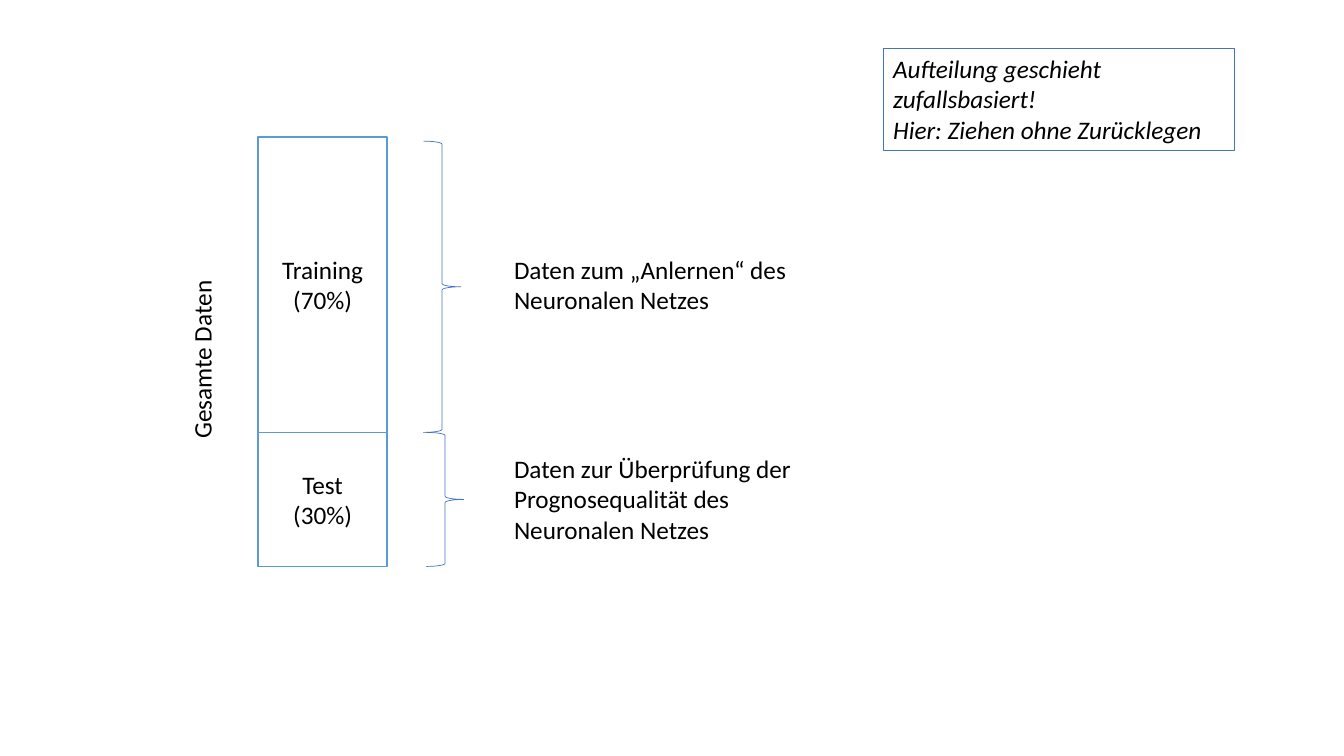
from pptx import Presentation
from pptx.util import Inches, Pt
from pptx.dml.color import RGBColor
from pptx.enum import shapes as sh, text as tx

KIND = sh.MSO_SHAPE
MID, TOP = tx.MSO_ANCHOR.MIDDLE, tx.MSO_ANCHOR.TOP
MAIN, LIGHT = "4472C4", "5B9BD5"


def tint(code):
    return RGBColor.from_string(code)


def apply(item, style):
    for name, value in style.items():
        setattr(item, name, value)


def write(shape, lines, align=tx.PP_ALIGN.LEFT, anchor=TOP, italic=False):
    frame = shape.text_frame
    apply(frame, {"word_wrap": True, "vertical_anchor": anchor})
    frame.text = "\n".join(lines)
    for para in frame.paragraphs:
        para.alignment = align
        apply(para.font, {"name": "Calibri", "size": Pt(18), "italic": italic})
        para.font.color.rgb = tint("000000")


def draw(slide, kind, box, line, width, fill=None):
    shape = slide.shapes.add_shape(kind, *map(Inches, box))
    shape.shadow.inherit = False
    if fill:
        shape.fill.solid()
        shape.fill.fore_color.rgb = tint(fill)
    else:
        shape.fill.background()
    shape.line.color.rgb = tint(line)
    shape.line.width = Pt(width)
    return shape


def label(slide, box, words, turn=0):
    shape = slide.shapes.add_textbox(*map(Inches, box))
    shape.rotation = turn
    write(shape, [words])


def share(slide, box, part, brace, note, high):
    left, top, width, height = box
    block = draw(slide, KIND.RECTANGLE, box, LIGHT, 1, "FFFFFF")
    write(block, part, tx.PP_ALIGN.CENTER, MID)
    shift, drop = brace
    draw(slide, KIND.RIGHT_BRACE,
         (left + shift, top + drop, 0.37, height - drop), MAIN, 0.5)
    mid = top + height / 2
    label(slide, (left + 2.44, mid - high / 2, 3.33, high), note)


def split(slide, box):
    left, top, width, height = box
    parts = [
        (2.93, ["Training", "(70%)"], (1.64, 0.04),
         "Daten zum „Anlernen“ des Neuronalen Netzes", 0.71),
        (1.33, ["Test", "(30%)"], (1.67, 0),
         "Daten zur Überprüfung der Prognosequalität des Neuronalen Netzes", 1.01),
    ]
    label(slide, (left - 1.48, top + 1.97, 1.84, 0.4), "Gesamte Daten", 270)
    for tall, part, brace, note, high in parts:
        share(slide, (left, top, width, tall), part, brace, note, high)
        top += tall


def remark(slide, box):
    shape = draw(slide, KIND.RECTANGLE, box, MAIN, 0.75)
    write(shape, ["Aufteilung geschieht zufallsbasiert!",
                  "Hier: Ziehen ohne Zurücklegen"], italic=True)


deck = Presentation()
apply(deck, {"slide_width": Inches(13.33), "slide_height": Inches(7.5)})
page = deck.slides.add_slide(deck.slide_layouts[6])
split(page, (2.56, 1.36, 1.28, 4.26))
remark(page, (8.76, 0.48, 3.48, 1.01))
deck.save("out.pptx")
